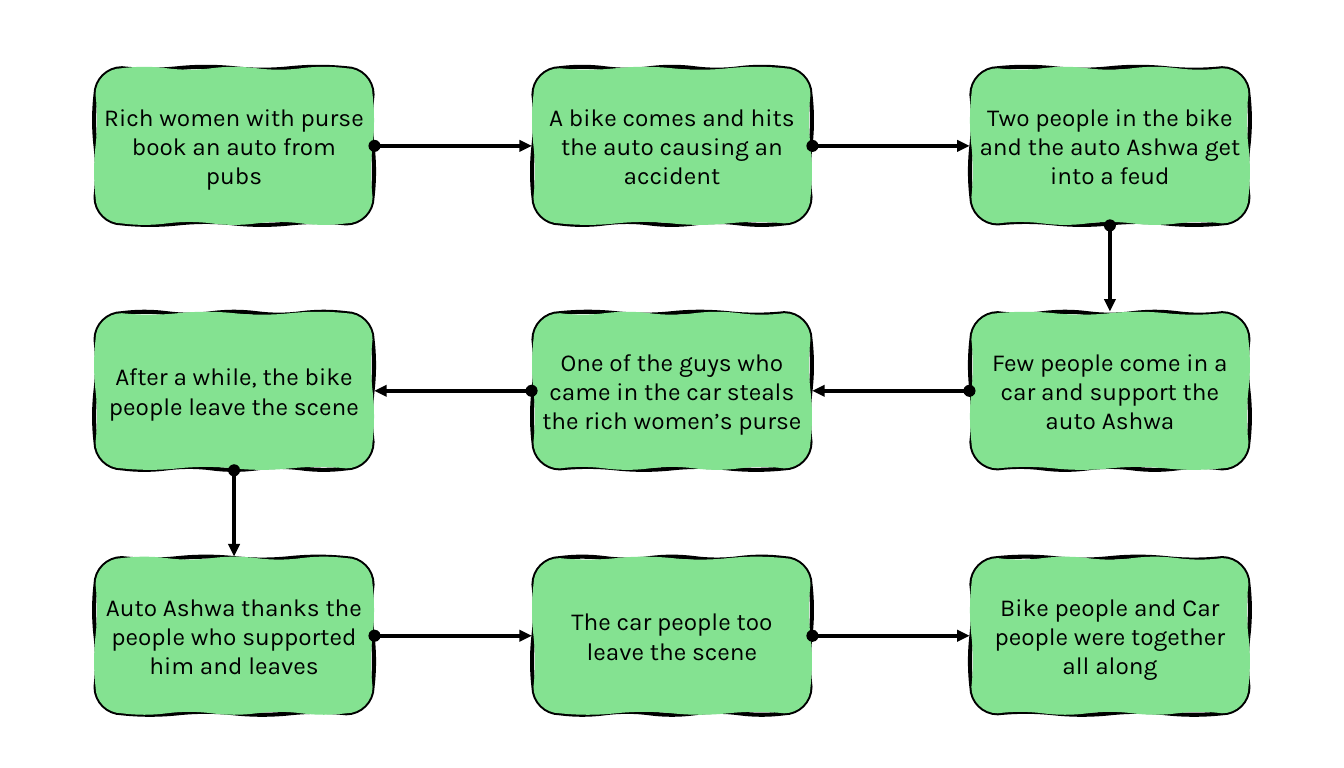
"""Draw a three-by-three serpentine story flow of hand-sketched boxes."""
from copy import deepcopy
from dataclasses import dataclass
from itertools import pairwise

from lxml.etree import SubElement
from pptx import Presentation
from pptx.dml.color import RGBColor as Rgb
from pptx.enum.shapes import MSO_CONNECTOR as Line
from pptx.enum.text import MSO_ANCHOR as Anchor, PP_ALIGN as Align
from pptx.oxml.ns import qn
from pptx.util import Inches, Pt

TOP, LEFT, BOTTOM, RIGHT = range(4)
COLUMNS = 3
ARC = 0.55


@dataclass(frozen=True)
class Theme:
    """Colours, type and line sizes of the slide."""
    ink: Rgb = Rgb.from_string("000000")
    box: Rgb = Rgb.from_string("84E291")
    font: str = "Karla"
    text_size: Pt = Pt(18)
    line_width: Pt = Pt(3)


@dataclass(frozen=True)
class Grid:
    """Slide size, box size and spacing in inches."""
    slide_width: float = 13.78
    slide_height: float = 7.87
    left: float = 0.98
    top: float = 0.7
    column_step: float = 4.49
    row_step: float = 2.51
    box_width: float = 2.84
    box_height: float = 1.59
    radius: float = 0.27
    wobble: float = 0.02


@dataclass(frozen=True)
class Step:
    """One event of the story at its place in the grid."""
    text: str
    column: int
    row: int

    @property
    def centre(self) -> tuple[float, float]:
        """Return the middle of the box in inches."""
        return (GRID.left + self.column * GRID.column_step + GRID.box_width / 2,
                GRID.top + self.row * GRID.row_step + GRID.box_height / 2)


THEME = Theme()
GRID = Grid()
STORY = (
    "Rich women with purse book an auto from pubs",
    "A bike comes and hits the auto causing an accident",
    "Two people in the bike and the auto Ashwa get into a feud",
    "Few people come in a car and support the auto Ashwa",
    "One of the guys who came in the car steals the rich women’s purse",
    "After a while, the bike people leave the scene",
    "Auto Ashwa thanks the people who supported him and leaves",
    "The car people too leave the scene",
    "Bike people and Car people were together all along",
)


def serpentine(texts: tuple[str, ...]) -> list[Step]:
    """Place the texts row by row, turning back on every second row."""
    steps = []
    for i, text in enumerate(texts):
        row, column = divmod(i, COLUMNS)
        steps.append(Step(text, COLUMNS - 1 - column if row % 2 else column, row))
    return steps


def wavy_outline(centre: tuple[float, float], ripples: int, sign: int) -> list[tuple[int, int]]:
    """Return the start and the cubic curve points of a wavy rounded rectangle."""
    cx, cy = centre
    dx, dy = GRID.box_width / 2 - GRID.radius, GRID.box_height / 2 - GRID.radius
    corners = [(dx, -dy), (dx, dy), (-dx, dy), (-dx, -dy)]
    normals = [(0, -1), (1, 0), (0, 1), (-1, 0)]
    points = [(dx, -dy - GRID.radius)]
    for side, (x, y) in enumerate(corners):
        (ux, uy), (vx, vy) = normals[side], normals[(side + 1) % 4]
        nx, ny = corners[(side + 1) % 4]
        for a, b in ((1, ARC), (ARC, 1), (0, 1)):
            points.append((x + GRID.radius * (a * ux + b * vx),
                           y + GRID.radius * (a * uy + b * vy)))
        pieces = ripples if side % 2 else 2
        for n in range(1, 3 * pieces + 1):
            t = n / (3 * pieces)
            swell = sign * (-1) ** ((n - 1) // 3) * GRID.wobble if n % 3 else 0
            reach = GRID.radius + swell
            points.append((x + (nx - x) * t + reach * vx, y + (ny - y) * t + reach * vy))
    return [(Inches(cx + x), Inches(cy + y)) for x, y in points]


def curve(contour) -> None:
    """Turn every three line segments of a contour into one cubic curve."""
    lines = contour.findall(qn("a:lnTo"))
    for first, second, third in zip(lines[::3], lines[1::3], lines[2::3]):
        cubic = SubElement(contour, qn("a:cubicBezTo"))
        first.addprevious(cubic)
        for segment in (first, second, third):
            cubic.append(segment[0])
            contour.remove(segment)


def split_stroke_and_fill(sp) -> None:
    """Make the first contour a bare stroke and the second a bare fill."""
    stroke = next(sp._element.iter(qn("a:path")))
    fill = deepcopy(stroke)
    stroke.addnext(fill)
    half = next(i for i, child in enumerate(stroke) if child.tag == qn("a:close")) + 1
    for contour, surplus in ((stroke, stroke[half:]), (fill, fill[:half])):
        for child in surplus:
            contour.remove(child)
        curve(contour)
    stroke.set("fill", "none")
    fill.set("stroke", "0")


def write(sp, text: str, *, size: Pt = THEME.text_size, color: Rgb = THEME.ink,
          align: Align = Align.CENTER, anchor: Anchor = Anchor.MIDDLE) -> None:
    """Write wrapped text in a shape."""
    tf = sp.text_frame
    tf.word_wrap = True
    tf.vertical_anchor = anchor
    p = tf.paragraphs[0]
    p.alignment = align
    r = p.add_run()
    r.text = text
    r.font.name, r.font.size, r.font.color.rgb = THEME.font, size, color


def add_box(s, step: Step, index: int):
    """Draw one sketched box with its text."""
    ripples, sign = 4 + index % 2, 1 if index % 3 else -1
    stroke = wavy_outline(step.centre, ripples, sign)
    fill = wavy_outline(step.centre, 9 - ripples, -sign)
    builder = s.shapes.build_freeform(*stroke[0])
    builder.add_line_segments(stroke[1:], close=True)
    builder.move_to(*fill[0])
    builder.add_line_segments(fill[1:], close=True)
    sp = builder.convert_to_shape()
    split_stroke_and_fill(sp)
    sp.shadow.inherit = False
    sp.fill.solid()
    sp.fill.fore_color.rgb = THEME.box
    sp.line.color.rgb = THEME.ink
    sp.line.width = THEME.line_width
    write(sp, step.text)
    return sp


def add_arrow(s, start, end, sides: tuple[int, int]) -> None:
    """Join two boxes by an arrow that starts with a dot."""
    c = s.shapes.add_connector(Line.STRAIGHT, 0, 0, 0, 0)
    c.begin_connect(start, sides[0])
    c.end_connect(end, sides[1])
    c.line.color.rgb = THEME.ink
    c.line.width = THEME.line_width
    ln = c.line._get_or_add_ln()
    SubElement(ln, qn("a:headEnd"), type="oval")
    SubElement(ln, qn("a:tailEnd"), type="triangle")
    SubElement(c._element.spPr, qn("a:effectLst"))


def arrow_sides(a: Step, b: Step) -> tuple[int, int]:
    """Return the sides on which the arrow leaves and arrives."""
    if a.row != b.row:
        return BOTTOM, TOP
    return (RIGHT, LEFT) if a.column < b.column else (LEFT, RIGHT)


def main() -> None:
    """Build and save the slide."""
    prs = Presentation()
    prs.slide_width, prs.slide_height = Inches(GRID.slide_width), Inches(GRID.slide_height)
    s = prs.slides.add_slide(prs.slide_layouts[6])
    steps = serpentine(STORY)
    boxes = [add_box(s, step, i) for i, step in enumerate(steps)]
    for (a, start), (b, end) in pairwise(zip(steps, boxes)):
        add_arrow(s, start, end, arrow_sides(a, b))
    prs.save("out.pptx")


if __name__ == "__main__":
    main()
